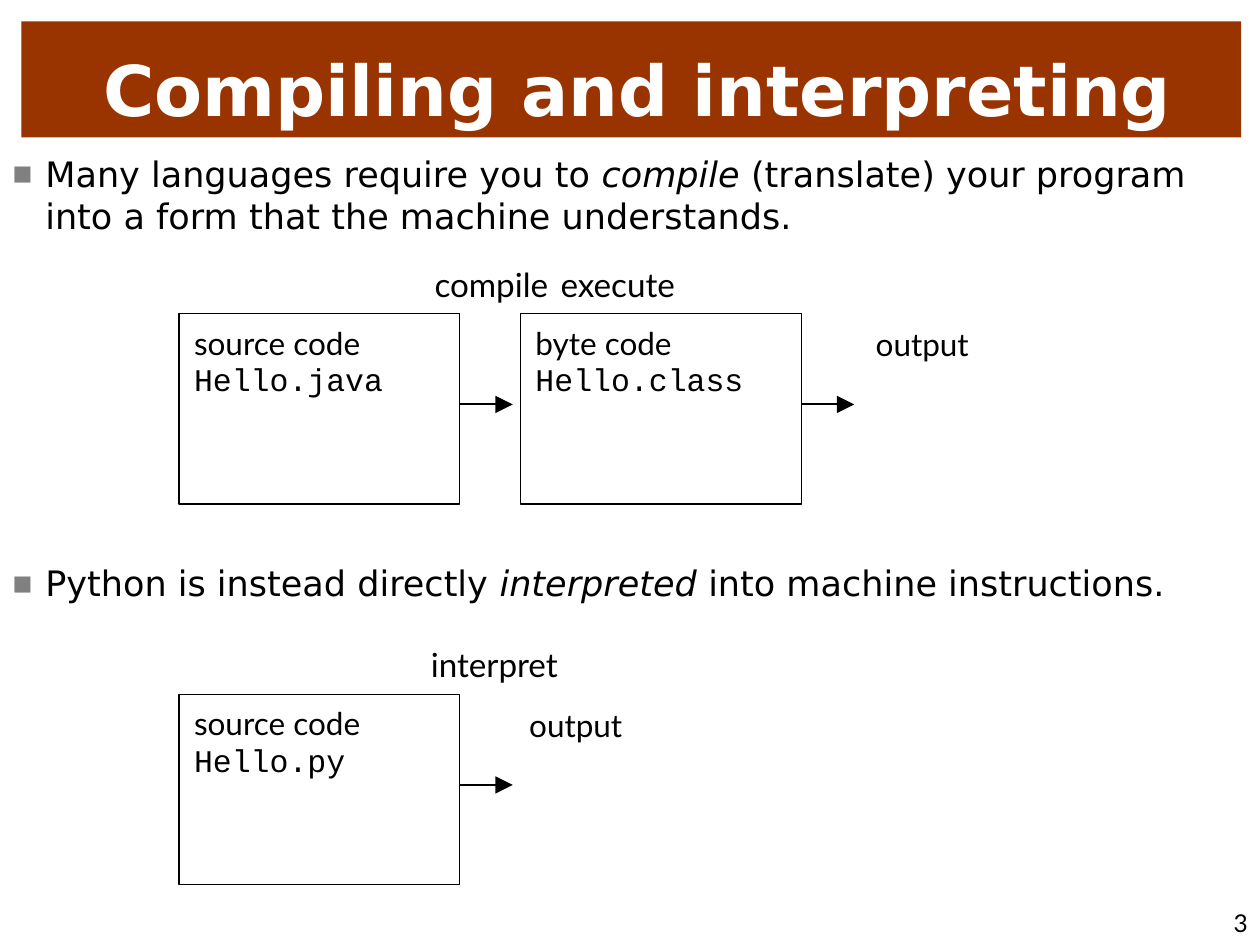
from lxml.etree import SubElement
from pptx import Presentation
from pptx.dml.color import RGBColor
from pptx.enum.shapes import MSO_CONNECTOR, MSO_SHAPE
from pptx.enum.text import MSO_ANCHOR, PP_ALIGN
from pptx.oxml.ns import qn
from pptx.util import Inches, Pt


def color(value):
    return RGBColor.from_string(value)


def add_span(para, text, size=20, font="DejaVu Sans", ink="000000", bold=False, italic=False):
    span = para.add_run()
    span.text = text
    span.font.size = Pt(size)
    span.font.name = font
    span.font.bold = bold
    span.font.italic = italic
    span.font.color.rgb = color(ink)


class SlideBuilder:
    body_font = "DejaVu Sans"
    label_font = "Lato"
    code_font = "Courier New"
    ink = "000000"
    accent = "993300"
    bullet_gray = "808080"

    def __init__(self, page):
        self.page = page

    def prepare(self, box, top_inset):
        frame = box.text_frame
        frame.word_wrap = True
        frame.vertical_anchor = MSO_ANCHOR.TOP
        frame.margin_left = frame.margin_right = frame.margin_bottom = 0
        frame.margin_top = Inches(top_inset)
        return frame

    def rectangle(self, left, top, width, height, top_inset):
        box = self.page.shapes.add_shape(
            MSO_SHAPE.RECTANGLE, Inches(left), Inches(top), Inches(width), Inches(height))
        box.shadow.inherit = False
        return box, self.prepare(box, top_inset)

    def text_box(self, left, top, width, height):
        box = self.page.shapes.add_textbox(
            Inches(left), Inches(top), Inches(width), Inches(height))
        return self.prepare(box, 0.01)

    def indent(self, para, left, hanging=0):
        para.alignment = PP_ALIGN.LEFT
        properties = para._p.get_or_add_pPr()
        properties.set("marL", str(Inches(left)))
        properties.set("indent", str(-Inches(hanging)))
        return properties

    def title(self, text):
        box, frame = self.rectangle(0.17, 0.17, 9.68, 0.92, 0.2)
        box.fill.solid()
        box.fill.fore_color.rgb = color(self.accent)
        box.line.fill.background()
        para = frame.paragraphs[0]
        self.indent(para, 0.65)
        add_span(para, text, size=40, ink="FFFFFF", bold=True)

    def bullet(self, para, before, emphasis, after):
        properties = self.indent(para, 0.27, 0.26)
        tint = SubElement(properties, qn("a:buClr"))
        SubElement(tint, qn("a:srgbClr"), val=self.bullet_gray)
        SubElement(properties, qn("a:buSzPct"), val="60000")
        SubElement(properties, qn("a:buFont"), typeface=self.body_font)
        SubElement(properties, qn("a:buChar"), char="■")
        add_span(para, before)
        add_span(para, emphasis, italic=True)
        add_span(para, after)

    def step_labels(self, para, text, left, space, tab=None):
        properties = self.indent(para, left)
        if tab:
            tabs = SubElement(properties, qn("a:tabLst"))
            SubElement(tabs, qn("a:tab"), pos=str(Inches(tab)), algn="l")
        para.space_before = Pt(space)
        add_span(para, text, size=19, font=self.label_font)

    def code_box(self, left, top, caption, file_name):
        box, frame = self.rectangle(left, top, 2.23, 1.51, 0.09)
        box.fill.background()
        box.line.color.rgb = color(self.ink)
        box.line.width = Pt(0.75)
        lines = [(caption, self.label_font), (file_name, self.code_font)]
        for para, (text, font) in zip([frame.paragraphs[0], frame.add_paragraph()], lines):
            self.indent(para, 0.12)
            para.line_spacing = Pt(20.8)
            add_span(para, text, size=18, font=font)

    def arrow(self, left, top):
        line = self.page.shapes.add_connector(
            MSO_CONNECTOR.STRAIGHT, Inches(left), Inches(top), Inches(left + 0.42), Inches(top))
        line.line.color.rgb = color(self.ink)
        line.line.width = Pt(1.2)
        SubElement(line.line._get_or_add_ln(), qn("a:tailEnd"), type="triangle", w="lg", len="lg")
        SubElement(line._element.spPr, qn("a:effectLst"))

    def label(self, left, top, width, height, text, size, indent):
        para = self.text_box(left, top, width, height).paragraphs[0]
        self.indent(para, indent)
        add_span(para, text, size=size, font=self.label_font)

    def pipeline(self, top, stages, output_left):
        for number, (caption, file_name) in enumerate(stages):
            left = 1.42 + number * 2.71
            self.code_box(left, top, caption, file_name)
            self.arrow(left + 2.23, top + 0.72)
        self.label(output_left, top + 0.08, 0.8, 0.33, "output", 18, 0.01)


def main():
    deck = Presentation()
    deck.slide_width, deck.slide_height = Inches(10), Inches(7.5)
    slide = SlideBuilder(deck.slides.add_slide(deck.slide_layouts[6]))

    slide.title("Compiling and interpreting")

    frame = slide.text_box(0.09, 1.2, 9.37, 1.24)
    slide.bullet(frame.paragraphs[0], "Many languages require you to ", "compile ",
                 "(translate) your program into a form that the machine understands.")
    slide.step_labels(frame.add_paragraph(), "compile\texecute", 3.36, 16.1, tab=6.14)
    slide.pipeline(2.49, [("source code", "Hello.java"), ("byte code", "Hello.class")], 6.94)

    frame = slide.text_box(0.09, 4.45, 9.16, 1)
    slide.bullet(frame.paragraphs[0], "Python is instead directly ", "interpreted ",
                 "into machine instructions.")
    slide.step_labels(frame.add_paragraph(), "interpret", 3.33, 22.9)
    slide.pipeline(5.51, [("source code", "Hello.py")], 4.19)

    slide.label(9.64, 7.2, 0.31, 0.26, "3", 14, 0.15)
    deck.save("out.pptx")


if __name__ == "__main__":
    main()
